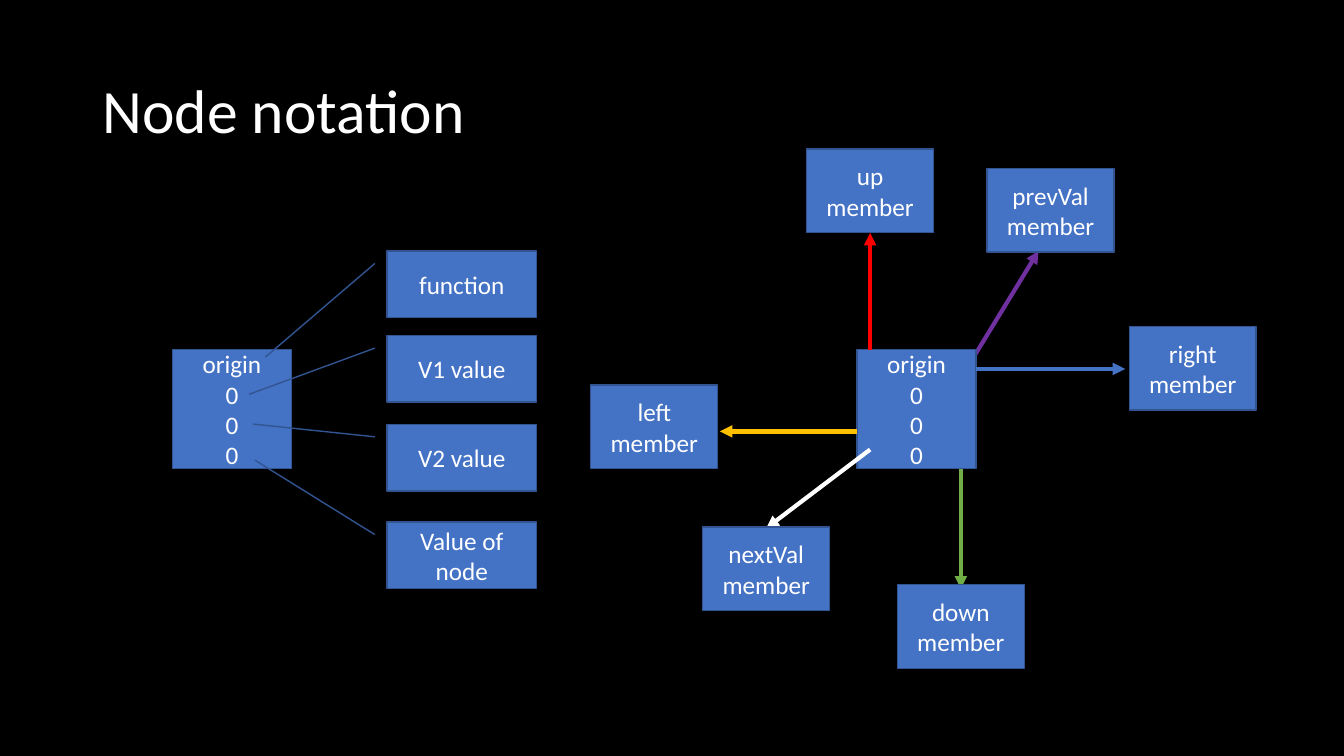
from lxml import etree
from pptx import Presentation
from pptx.dml.color import RGBColor
from pptx.enum import shapes, text
from pptx.oxml.ns import qn
from pptx.util import Inches, Pt

FONT = "Calibri"
COLORS = {
    "background": "000000", "text": "FFFFFF", "box": "4472C4", "border": "325491",
    "up": "FF0000", "prevVal": "7030A0", "right": "4472C4",
    "down": "70AD47", "nextVal": "FFFFFF", "left": "FFC000",
}

TITLE = "Node notation"
NODE_LINES = ["origin", "0", "0", "0"]
NODE_SIZE = (1.18, 1.18)
NODE_TOP = 3.47
NODE_LEFTS = {"fields": 1.71, "members": 8.5}

# label, top, pointer end as (y, x) fractions of the callout
FIELD_LEFT = 3.84
FIELD_SIZE = (1.48, 0.66)
POINTER_START = (0.188, -0.083)
FIELDS = [
    ("function", 2.49, (1.596, -0.816)),
    ("V1 value", 3.33, (0.882, -0.925)),
    ("V2 value", 4.21, (-0.004, -0.899)),
    ("Value of node", 5.18, (-0.932, -0.887)),
]

# direction: box corner, arrow start, arrow end
MEMBER_SIZE = (1.26, 0.83)
MEMBERS = {
    "prevVal": ((9.79, 1.67), (9.53, 3.75), (10.3, 2.49)),
    "right": ((11.2, 3.24), (9.68, 3.66), (11.16, 3.66)),
    "left": ((5.86, 3.82), (8.5, 4.28), (7.14, 4.28)),
    "up": ((8, 1.48), (8.63, 3.47), (8.63, 2.31)),
    "down": ((8.9, 5.8), (9.53, 4.65), (9.53, 5.84)),
    "nextVal": ((6.97, 5.23), (8.63, 4.46), (7.6, 5.24)),
}
BEHIND_NODE = "prevVal"


def rgb(name):
    return RGBColor.from_string(COLORS[name])


def write(frame, lines, size, align):
    frame.word_wrap = True
    frame.vertical_anchor = text.MSO_ANCHOR.MIDDLE
    for index, line in enumerate(lines):
        paragraph = frame.add_paragraph() if index else frame.paragraphs[0]
        paragraph.alignment = align
        run = paragraph.add_run()
        run.text = line
        run.font.name = FONT
        run.font.size = Pt(size)
        run.font.color.rgb = rgb("text")


def add_box(slide, corner, size, lines, preset=shapes.MSO_SHAPE.RECTANGLE):
    box = slide.shapes.add_shape(preset, *map(Inches, corner + size))
    box.shadow.inherit = False
    box.fill.solid()
    box.fill.fore_color.rgb = rgb("box")
    box.line.color.rgb = rgb("border")
    box.line.width = Pt(1)
    write(box.text_frame, lines, 18, text.PP_ALIGN.CENTER)
    return box


def add_arrow(slide, direction):
    _, start, end = MEMBERS[direction]
    arrow = slide.shapes.add_connector(
        shapes.MSO_CONNECTOR.STRAIGHT, *map(Inches, start + end))
    arrow.line.color.rgb = rgb(direction)
    arrow.line.width = Pt(3)
    properties = arrow.line._get_or_add_ln()
    etree.SubElement(properties, qn("a:tailEnd")).set("type", "triangle")
    etree.SubElement(arrow._element.spPr, qn("a:effectLst"))


def main():
    deck = Presentation()
    deck.slide_width, deck.slide_height = Inches(13.33), Inches(7.5)
    slide = deck.slides.add_slide(deck.slide_layouts[6])
    slide.background.fill.solid()
    slide.background.fill.fore_color.rgb = rgb("background")

    title = slide.shapes.add_textbox(*map(Inches, (0.92, 0.4, 11.5, 1.45)))
    write(title.text_frame, [TITLE], 44, text.PP_ALIGN.LEFT)
    title.text_frame.paragraphs[0].line_spacing = 0.9

    add_arrow(slide, BEHIND_NODE)
    for left in NODE_LEFTS.values():
        add_box(slide, (left, NODE_TOP), NODE_SIZE, NODE_LINES)

    for label, top, pointer_end in FIELDS:
        callout = add_box(slide, (FIELD_LEFT, top), FIELD_SIZE, [label],
                          shapes.MSO_SHAPE.LINE_CALLOUT_1)
        for index, fraction in enumerate(POINTER_START + pointer_end):
            callout.adjustments[index] = fraction

    for direction in MEMBERS:
        if direction != BEHIND_NODE:
            add_arrow(slide, direction)
    for direction, (corner, _, _) in MEMBERS.items():
        add_box(slide, corner, MEMBER_SIZE, [f"{direction} member"])

    deck.save("out.pptx")


if __name__ == "__main__":
    main()
